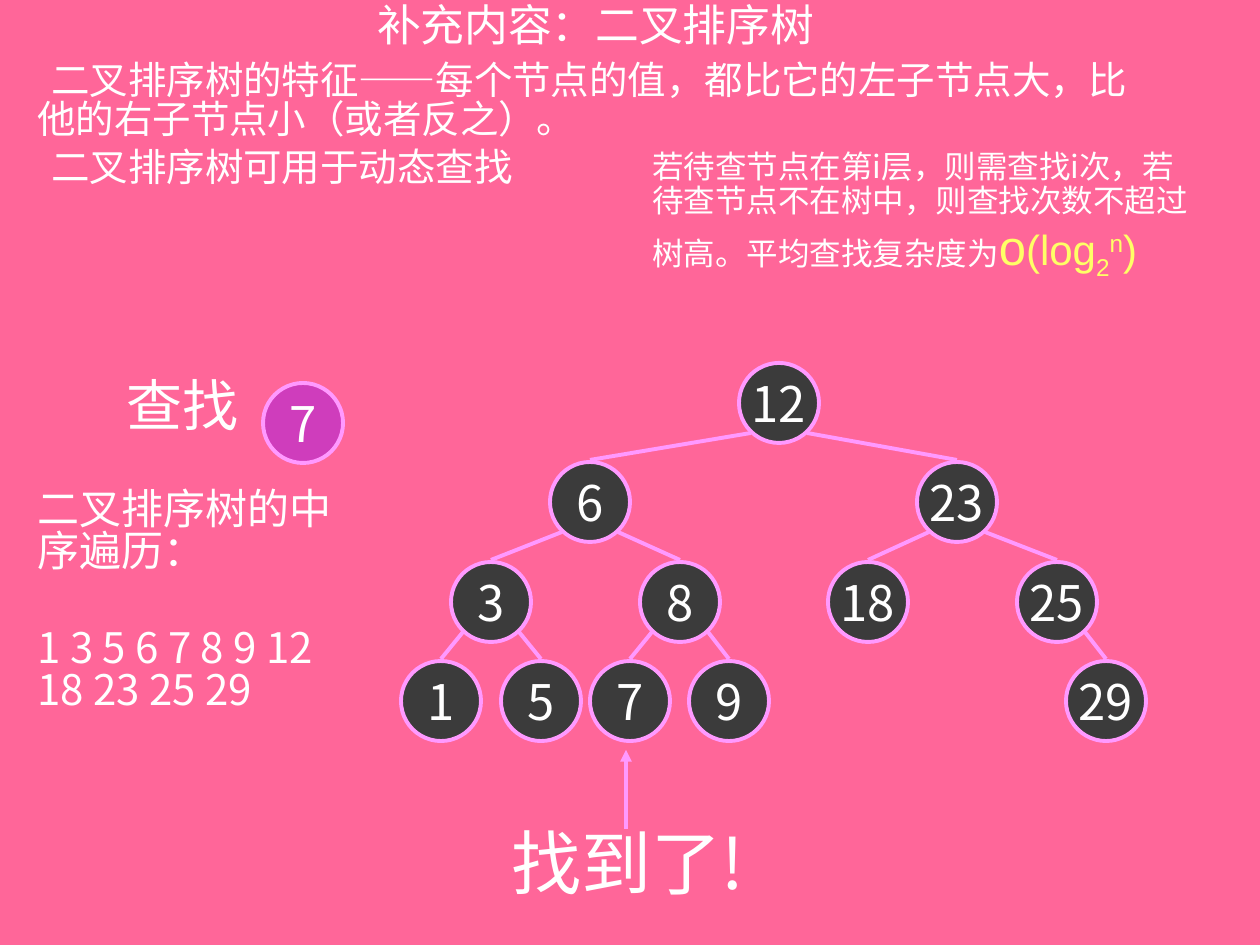
import pptx
import pptx.util
import pptx.dml.color
import pptx.enum.shapes
import pptx.enum.text
import pptx.oxml.ns
from lxml import etree

PX = 914400 // 126
COLORS = {"back": "FF6699", "node": "3B3B3B", "edge": "FF99FF",
          "target": "A116E0", "text": "FFFFFF", "formula": "FFFF66"}
RGB = {name: pptx.dml.color.RGBColor.from_string(value) for name, value in COLORS.items()}
HAN = "Noto Sans CJK SC"
ALIGN = pptx.enum.text.PP_ALIGN
SHAPE = pptx.enum.shapes.MSO_SHAPE
qn = pptx.oxml.ns.qn

deck = pptx.Presentation()
deck.slide_width = pptx.util.Inches(10)
deck.slide_height = pptx.util.Inches(7.5)
page = deck.slides.add_slide(deck.slide_layouts[6])
page.background.fill.solid()
page.background.fill.fore_color.rgb = RGB["back"]


def add_span(para, text, size, font=HAN, color="text", base=0):
    span = para.add_run()
    span.text = text
    span.font.size = pptx.util.Pt(size)
    span.font.name = font
    span.font.color.rgb = RGB[color]
    props = span.font._element
    etree.SubElement(props, qn("a:ea")).set("typeface", HAN)
    if base:
        props.set("baseline", str(base * 1000))


def add_line(x1, y1, x2, y2):
    line = page.shapes.add_connector(
        pptx.enum.shapes.MSO_CONNECTOR.STRAIGHT, x1 * PX, y1 * PX, x2 * PX, y2 * PX)
    line.line.color.rgb = RGB["edge"]
    line.line.width = pptx.util.Pt(2.25)
    etree.SubElement(line._element.spPr, qn("a:effectLst"))
    return line


# Tree: value -> (centre x, level, parent)
tree = {12: (779, 0, None), 6: (590, 1, 12), 23: (957, 1, 12),
        3: (491, 2, 6), 8: (680, 2, 6), 18: (868, 2, 23), 25: (1057, 2, 23),
        1: (441, 3, 3), 5: (541, 3, 3), 7: (630, 3, 8), 9: (729, 3, 8),
        29: (1106, 3, 25)}
level_y = [403, 502, 602, 701]
radius = 40

# Edges leave the parent's lower side and end at the child's top
for x, level, parent in tree.values():
    if parent is not None:
        parent_x = tree[parent][0]
        side = 28 if x > parent_x else -28
        add_line(parent_x + side, level_y[level - 1] + 30, x, level_y[level] - 42)

# Nodes, and the value searched for
circles = [(value, x, level_y[level], "node") for value, (x, level, _) in tree.items()]
circles.append((7, 303, 423, "target"))
for value, x, y, color in circles:
    node = page.shapes.add_shape(SHAPE.OVAL, (x - radius) * PX, (y - radius) * PX,
                                 2 * radius * PX, 2 * radius * PX)
    node.shadow.inherit = False
    node.fill.solid()
    node.fill.fore_color.rgb = RGB[color]
    if color == "target":
        fill_color = node._element.spPr.find(".//" + qn("a:srgbClr"))
        etree.SubElement(fill_color, qn("a:alpha")).set("val", "50000")
    node.line.color.rgb = RGB["edge"]
    node.line.width = pptx.util.Pt(2.25)
    frame = node.text_frame
    frame.word_wrap = False
    frame.vertical_anchor = pptx.enum.text.MSO_ANCHOR.MIDDLE
    frame.paragraphs[0].alignment = ALIGN.CENTER
    add_span(frame.paragraphs[0], str(value), 28)

# Arrow to the node that was found
arrow = add_line(626, 829, 626, 750)
etree.SubElement(arrow.line._get_or_add_ln(), qn("a:tailEnd")).set("type", "triangle")

# Text boxes: left, top, width, height, alignment, line spacing, paragraphs of spans
boxes = [
    (233, 0, 725, 66, ALIGN.CENTER, 0.83, [[("补充内容：二叉排序树", 25)]]),
    (25, 58, 1135, 179, ALIGN.LEFT, 0.83, [
        [("二叉排序树的特征", 22, "Arial"), ("——", 22, "Times New Roman"),
         ("每个节点的值，都比它的左子节点大，比他的右子节点小（或者反之）。", 22, "Arial")],
        [("二叉排序树可用于动态查找", 22, "Arial")]]),
    (640, 145, 576, 152, ALIGN.LEFT, 0.9, [
        [("若待查节点在第i层，则需查找i次，若待查节点不在树中，"
          "则查找次数不超过树高。平均查找复杂度为", 18),
         ("o", 28, "Arial", "formula"), ("(log", 24, "Arial", "formula"),
         ("2", 24, "Arial", "formula", -25), ("n", 24, "Arial", "formula", 30),
         (")", 24, "Arial", "formula")]]),
    (64, 376, 238, 81, ALIGN.CENTER, 0.83, [[("查找", 32)]]),
    (25, 485, 323, 120, ALIGN.LEFT, 0.83, [[("二叉排序树的中序遍历：", 24)]]),
    (25, 624, 348, 120, ALIGN.LEFT, 0.83, [[("1 3 5 6 7 8 9 12 18 23 25 29", 24)]]),
    (481, 828, 294, 97, ALIGN.CENTER, 0.83, [[("找到了!", 40)]]),
]
for left, top, width, height, align, spacing, paragraphs in boxes:
    box = page.shapes.add_textbox(left * PX, top * PX, width * PX, height * PX)
    frame = box.text_frame
    frame.word_wrap = True
    for number, spans in enumerate(paragraphs):
        para = frame.add_paragraph() if number else frame.paragraphs[0]
        para.alignment = align
        para.line_spacing = spacing
        if number:
            para.space_before = pptx.util.Pt(5.5)
        if len(paragraphs) > 1:
            para._p.get_or_add_pPr().set("indent", str(14 * PX))
        for span in spans:
            add_span(para, *span)

deck.save("out.pptx")
